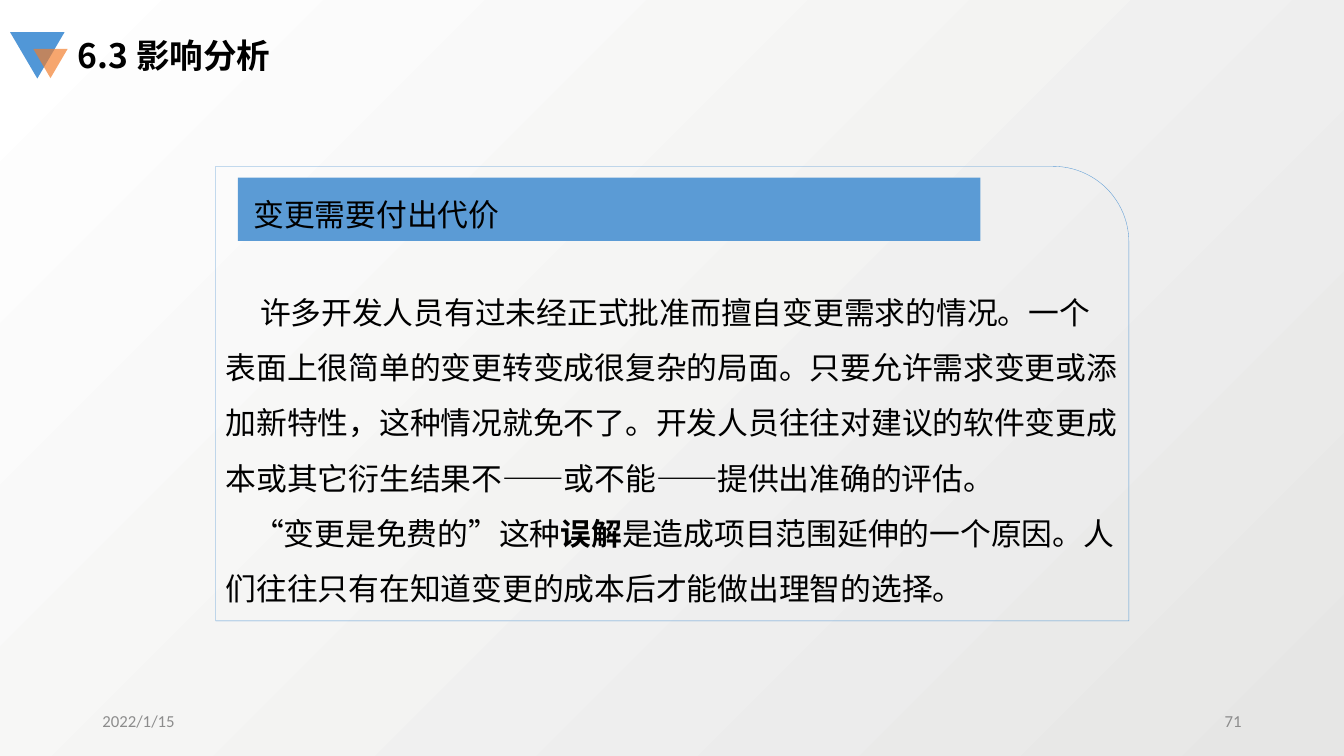
from lxml import etree
from pptx import Presentation
from pptx.dml.color import RGBColor
from pptx.enum.shapes import MSO_SHAPE as SHAPE
from pptx.enum.text import MSO_ANCHOR as ANCHOR, MSO_AUTO_SIZE as AUTO, PP_ALIGN as ALIGN
from pptx.oxml.ns import qn
from pptx.util import Pt

BLUE = RGBColor(0x5B, 0x9B, 0xD5)
LOGO_BLUE = RGBColor(0x51, 0x97, 0xD7)
ORANGE = RGBColor(0xF3, 0x7D, 0x2A)
BLACK = RGBColor(0, 0, 0)
GRAY = RGBColor(0x8C, 0x8C, 0x8C)
BG_DARK = RGBColor(0xE6, 0xE6, 0xE5)
BG_LIGHT = RGBColor(0xFF, 0xFF, 0xFF)
CJK = "Noto Sans CJK SC"
LATIN = "Calibri"

# Each paragraph: first-line indent, then (text, bold) runs
BODY = [
    (24.6, [("许多开发人员有过未经正式批准而擅自变更需求的情况。一个表面上很简单的变更"
             "转变成很复杂的局面。只要允许需求变更或添加新特性，这种情况就免不了。"
             "开发人员往往对建议的软件变更成本或其它衍生结果不——或不能——"
             "提供出准确的评估。", False)]),
    (19.7, [("“变更是免费的”这种", False), ("误解", True),
            ("是造成项目范围延伸的一个原因。人们往往只有在知道变更的成本后"
             "才能做出理智的选择。", False)]),
]


def set_background(s):
    fill = s.background.fill
    fill.gradient()
    fill.gradient_angle = 135
    for stop, color in zip(fill.gradient_stops, (BG_DARK, BG_LIGHT)):
        stop.color.rgb = color


def add_run(p, text, size, color=BLACK, font=CJK, bold=False):
    r = p.add_run()
    r.text = text
    r.font.size, r.font.bold, r.font.name = Pt(size), bold, font
    r.font.color.rgb = color
    etree.SubElement(r.font._element, qn("a:ea")).set("typeface", font)


def place(sp, left, top, width, height):
    sp.left, sp.top, sp.width, sp.height = map(Pt, (left, top, width, height))


def prepare_frame(sp, anchor=ANCHOR.TOP):
    tf = sp.text_frame
    tf.word_wrap, tf.auto_size = True, AUTO.NONE
    tf.vertical_anchor = anchor
    return tf


def add_text(s, box, anchor=ANCHOR.TOP):
    return prepare_frame(s.shapes.add_textbox(*map(Pt, box)), anchor)


def add_shape(s, kind, box, fill=None, line=None, alpha=None, rotation=0):
    sp = s.shapes.add_shape(kind, *map(Pt, box))
    sp.shadow.inherit = False
    sp.rotation = rotation
    if fill is None:
        sp.fill.background()
    else:
        sp.fill.solid()
        sp.fill.fore_color.rgb = fill
    if alpha:
        color = sp._element.spPr.find(".//" + qn("a:srgbClr"))
        etree.SubElement(color, qn("a:alpha")).set("val", str(alpha * 1000))
    if line is None:
        sp.line.fill.background()
    else:
        sp.line.color.rgb, sp.line.width = line, Pt(0.25)


def add_title(s, text):
    title = s.shapes.title
    place(title, 48.5, 21.3, 241, 42)
    p = prepare_frame(title).paragraphs[0]
    p.alignment = ALIGN.LEFT
    add_run(p, text, 24, bold=True)


def add_body(s):
    tf = add_text(s, (154.1, 193, 652.3, 246))
    for i, (indent, runs) in enumerate(BODY):
        p = tf.add_paragraph() if i else tf.paragraphs[0]
        p.line_spacing = Pt(39.5)
        p._p.get_or_add_pPr().set("indent", str(Pt(indent)))
        for text, bold in runs:
            add_run(p, text, 22, bold=bold)


def add_footer(s, text, left, align):
    p = add_text(s, (left, 500.4, 216, 28.8), ANCHOR.MIDDLE).paragraphs[0]
    p.alignment = align
    add_run(p, text, 12, GRAY, LATIN)


def main():
    prs = Presentation()
    prs.slide_width, prs.slide_height = Pt(960), Pt(540)
    s = prs.slides.add_slide(prs.slide_layouts[5])
    set_background(s)

    # Title with its two triangles
    add_shape(s, SHAPE.ISOSCELES_TRIANGLE, (7.2, 23, 38.9, 33.1), LOGO_BLUE, rotation=180)
    add_shape(s, SHAPE.ISOSCELES_TRIANGLE, (23.8, 34.9, 24.5, 20.9), ORANGE,
              alpha=68, rotation=180)
    add_title(s, "6.3 影响分析")

    # Framed panel with heading bar and body
    add_shape(s, SHAPE.RECTANGLE, (169.9, 126.9, 530.4, 45.2), BLUE)
    add_shape(s, SHAPE.ROUND_1_RECTANGLE, (154.1, 118.8, 652.3, 324.7), line=BLUE)
    heading = add_text(s, (174, 136.4, 480, 40))
    add_run(heading.paragraphs[0], "变更需要付出代价", 22)
    add_body(s)

    # Date and slide number
    add_footer(s, "2022/1/15", 66, ALIGN.LEFT)
    add_footer(s, "71", 678, ALIGN.RIGHT)
    prs.save("out.pptx")


if __name__ == "__main__":
    main()
